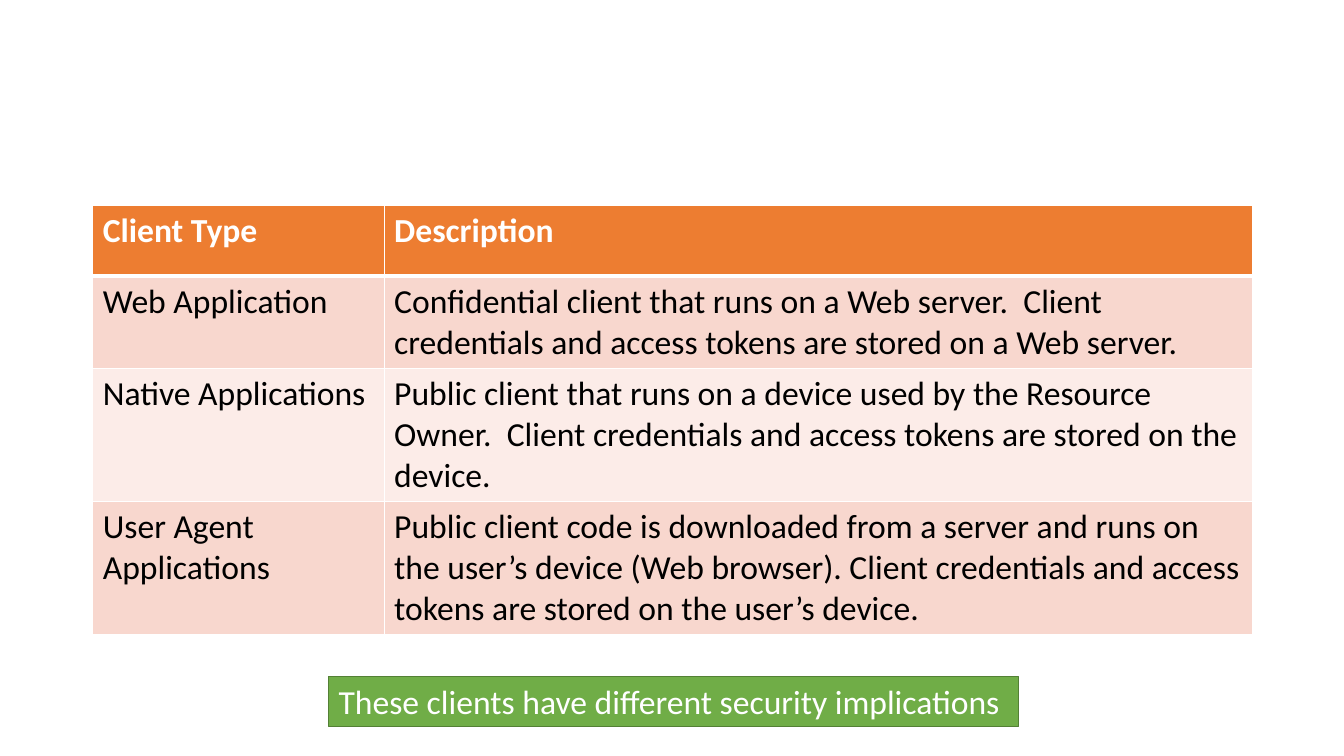
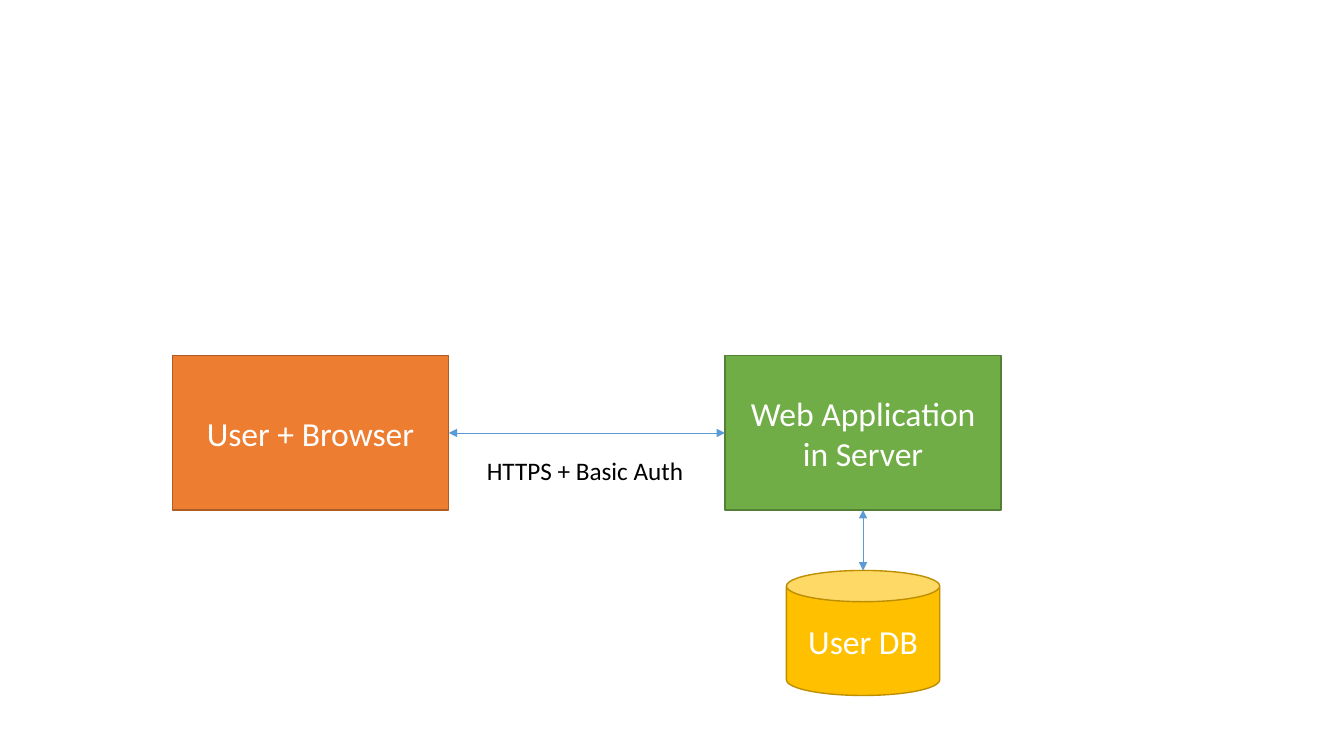
from dataclasses import dataclass
from typing import Any

import lxml.etree
import pptx
import pptx.dml.color
import pptx.enum.shapes
import pptx.enum.text
import pptx.oxml
import pptx.oxml.ns
import pptx.util

Inches = pptx.util.Inches
Pt = pptx.util.Pt
Kind = pptx.enum.shapes.MSO_SHAPE
Align = pptx.enum.text.PP_ALIGN
Anchor = pptx.enum.text.MSO_ANCHOR
qn = pptx.oxml.ns.qn

FONT = "Calibri"
WHITE, BLACK = "FFFFFF", "000000"
ORANGE, GREEN, GOLD, BLUE = "ED7D31", "70AD47", "FFC000", "5B9BD5"
EDGES = {ORANGE: "AF5C24", GREEN: "538035", GOLD: "BD8E00"}
BANDS = ("F8D7CE", "FCECE8")

ROWS = (
    ("Client Type", "Description"),
    ("Web Application",
     "Confidential client that runs on a Web server.  Client credentials "
     "and access tokens are stored on a Web server."),
    ("Native Applications",
     "Public client that runs on a device used by the Resource Owner.  "
     "Client credentials and access tokens are stored on the device."),
    ("User Agent Applications",
     "Public client code is downloaded from a server and runs on the user’s "
     "device (Web browser). Client credentials and access tokens are stored "
     "on the user’s device."),
)
WIDTHS = (2.89, 8.61)
HEIGHTS = (0.7, 0.9, 1.3, 1.3)


@dataclass
class Node:
    text: str
    left: float
    top: float
    width: float
    height: float
    fill: str
    kind: Any = Kind.RECTANGLE
    align: Any = Align.CENTER

    @property
    def mid(self) -> float:
        return self.left + self.width / 2


def color(code: str) -> pptx.dml.color.RGBColor:
    return pptx.dml.color.RGBColor.from_string(code)


def write(frame: Any, text: str, code: str, size: float = 24,
          bold: bool = False, align: Any = Align.LEFT) -> None:
    frame.text = text
    for para in frame.paragraphs:
        para.alignment = align
        for run in para.runs:
            run.font.name = FONT
            run.font.size = Pt(size)
            run.font.bold = bold
            run.font.color.rgb = color(code)


def draw_node(slide: Any, node: Node) -> Any:
    shape = slide.shapes.add_shape(
        node.kind, Inches(node.left), Inches(node.top),
        Inches(node.width), Inches(node.height))
    shape.shadow.inherit = False
    shape.fill.solid()
    shape.fill.fore_color.rgb = color(node.fill)
    shape.line.color.rgb = color(EDGES[node.fill])
    shape.line.width = Pt(1)
    shape.text_frame.word_wrap = True
    shape.text_frame.vertical_anchor = Anchor.MIDDLE
    write(shape.text_frame, node.text, WHITE, align=node.align)
    return shape


def draw_arrow(slide: Any, x1: float, y1: float, x2: float, y2: float) -> Any:
    """Draw a thin line with a head at both ends."""
    arrow = slide.shapes.add_connector(
        pptx.enum.shapes.MSO_CONNECTOR.STRAIGHT,
        Inches(x1), Inches(y1), Inches(x2), Inches(y2))
    arrow.line.color.rgb = color(BLUE)
    arrow.line.width = Pt(0.5)
    props = arrow.line._get_or_add_ln()
    for tag in ("a:headEnd", "a:tailEnd"):
        lxml.etree.SubElement(props, qn(tag), type="triangle")
    lxml.etree.SubElement(arrow._element.spPr, qn("a:effectLst"))
    return arrow


def set_edges(cell: Any, row: int) -> None:
    """Give a cell white edges, thick between the header and the body."""
    props = cell._tc.get_or_add_tcPr()
    thick = {(0, "B"), (1, "T")}
    for spot, side in enumerate("LRTB"):
        width = Pt(3 if (row, side) in thick else 1)
        edge = lxml.etree.Element(qn(f"a:ln{side}"), w=str(width))
        fill = lxml.etree.SubElement(edge, qn("a:solidFill"))
        lxml.etree.SubElement(fill, qn("a:srgbClr"), val=WHITE)
        props.insert(spot, edge)


def draw_table(slide: Any) -> None:
    table = slide.shapes.add_table(
        len(ROWS), len(WIDTHS), Inches(0.92), Inches(2.04),
        Inches(sum(WIDTHS)), Inches(sum(HEIGHTS))).table
    for col, width in zip(table.columns, WIDTHS):
        col.width = Inches(width)
    for row, texts in enumerate(ROWS):
        table.rows[row].height = Inches(HEIGHTS[row])
        head = row == 0
        for col, text in enumerate(texts):
            cell = table.cell(row, col)
            cell.fill.solid()
            cell.fill.fore_color.rgb = color(
                ORANGE if head else BANDS[(row - 1) % 2])
            write(cell.text_frame, text, WHITE if head else BLACK, bold=head)
            set_edges(cell, row)


def build_clients(slide: Any) -> None:
    draw_table(slide)
    draw_node(slide, Node("These clients have different security implications",
                          3.26, 6.71, 6.84, 0.5, GREEN, align=Align.LEFT))


def build_flow(slide: Any) -> None:
    left, top, width, height = 1.71, 3.53, 2.74, 1.53
    user = Node("User + Browser", left, top, width, height, ORANGE)
    web = Node("Web Application in Server", left + 2 * width, top,
               width, height, GREEN)
    store = Node("User DB", web.mid - 0.76, 5.66, 1.52, 1.24, GOLD, Kind.CAN)
    start, end = draw_node(slide, user), draw_node(slide, web)
    draw_node(slide, store)

    level = top + height / 2
    link = draw_arrow(slide, left + width, level, web.left, level)
    link.begin_connect(start, 3)
    link.end_connect(end, 1)
    drop = draw_arrow(slide, web.mid, top + height, web.mid, store.top)
    drop.begin_connect(end, 2)

    label = slide.shapes.add_textbox(
        Inches(4.73), Inches(4.47), Inches(2.17), Inches(0.4))
    label.text_frame.word_wrap = False
    write(label.text_frame, "HTTPS + Basic Auth", BLACK, size=18)


def main() -> None:
    deck = pptx.Presentation()
    deck.slide_width, deck.slide_height = Inches(13.33), Inches(7.5)
    blank = deck.slide_layouts[6]
    for build in (build_clients, build_flow):
        build(deck.slides.add_slide(blank))
    deck.save("out.pptx")


if __name__ == "__main__":
    main()
